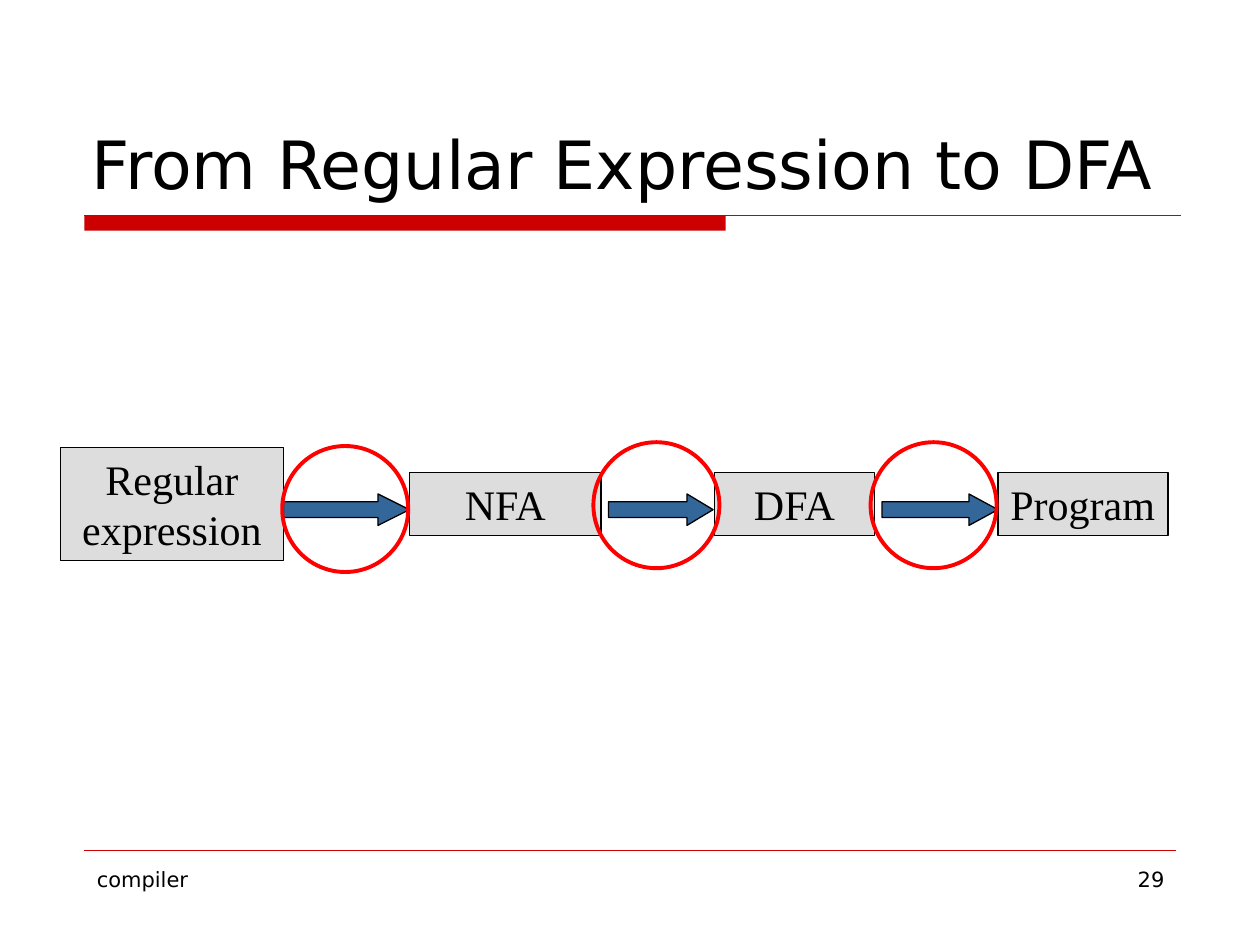
from lxml import etree
from pptx import Presentation
from pptx.dml.color import RGBColor
from pptx.enum import shapes, text
from pptx.oxml import ns
from pptx.util import Inches, Pt

COLORS = {"ink": "000000", "rule": "CC0000", "box": "DDDDDD",
          "arrow": "336699", "ring": "FF0000"}
SANS, SERIF = "DejaVu Sans", "Times New Roman"
LEFT, MID, RIGHT = text.PP_ALIGN.LEFT, text.PP_ALIGN.CENTER, text.PP_ALIGN.RIGHT
TOP, CENTER, BOTTOM = (text.MSO_ANCHOR.TOP, text.MSO_ANCHOR.MIDDLE,
                       text.MSO_ANCHOR.BOTTOM)
KIND = shapes.MSO_SHAPE

# words, place, size, alignment, anchor
LABELS = [
    ("compiler", (0.67, 6.83, 2.17, 0.52), 12, LEFT, TOP),
    ("29", (7.17, 6.83, 2.17, 0.52), 12, RIGHT, TOP),
    ("From Regular Expression to DFA", (0.63, 0.33, 8.94, 1.33), 38, LEFT, BOTTOM),
]
# words, left, width, height, wrap
STAGES = [
    ("Regular expression", 0.48, 1.77, 0.9, True),
    ("NFA", 3.25, 1.52, 0.5, True),
    ("DFA", 5.67, 1.27, 0.5, True),
    ("Program", 7.92, 1.35, 0.5, False),
]
ARROWS = [(2.25, 3.25), (4.83, 5.66), (7, 7.92)]  # from, to
RINGS = [(2.24, 3.54), (4.71, 3.51), (6.91, 3.51)]  # left, top
# left, right, height on the slide, line width
RULES = [(0.67, 9.37, 1.71, 0.75), (0.67, 9.33, 6.75, 0.25)]
AXIS, THICK = 4.0, 0.25

deck = Presentation()
deck.slide_width, deck.slide_height = Inches(10), Inches(7.5)
slide = deck.slides.add_slide(deck.slide_layouts[6])


def color(name):
    return RGBColor.from_string(COLORS[name])


def write(shape, words, size, face, align, anchor, wrap=True):
    frame = shape.text_frame
    frame.word_wrap, frame.vertical_anchor = wrap, anchor
    para = frame.paragraphs[0]
    para.text, para.alignment = words, align
    for key, value in {"size": Pt(size), "name": face}.items():
        setattr(para.font, key, value)
    para.font.color.rgb = color("ink")


def draw(kind, place, fill=None, line=None, width=0.75):
    shape = slide.shapes.add_shape(kind, *map(Inches, place))
    shape.shadow.inherit = False
    for part, name in ((shape.fill, fill), (shape.line.fill, line)):
        if name:
            part.solid()
            part.fore_color.rgb = color(name)
        else:
            part.background()
    if line:
        shape.line.width = Pt(width)
    return shape


draw(KIND.RECTANGLE, (0.67, 1.71, 5.09, 0.12), "rule")
for left, right, top, width in RULES:
    rule = slide.shapes.add_connector(
        shapes.MSO_CONNECTOR.STRAIGHT, *map(Inches, (left, top, right, top)))
    rule.line.color.rgb, rule.line.width = color("rule"), Pt(width)
    etree.SubElement(rule._element.spPr, ns.qn("a:effectLst"))

for words, place, size, align, anchor in LABELS:
    box = slide.shapes.add_textbox(*map(Inches, place))
    write(box, words, size, SANS, align, anchor)

for words, left, width, high, wrap in STAGES:
    box = draw(KIND.RECTANGLE, (left, AXIS - high / 2, width, high), "box", "ink")
    write(box, words, 24, SERIF, MID if wrap else LEFT, CENTER, wrap)

for start, end in ARROWS:
    arrow = draw(KIND.RIGHT_ARROW, (start, 3.92, end - start, THICK), "arrow", "ink")
    arrow.adjustments[0] = 0.5
    arrow.adjustments[1] = end - start  # head grows with the arrow

for left, top in RINGS:
    draw(KIND.OVAL, (left, top, 1, 1), line="ring", width=2.25)

deck.save("out.pptx")
